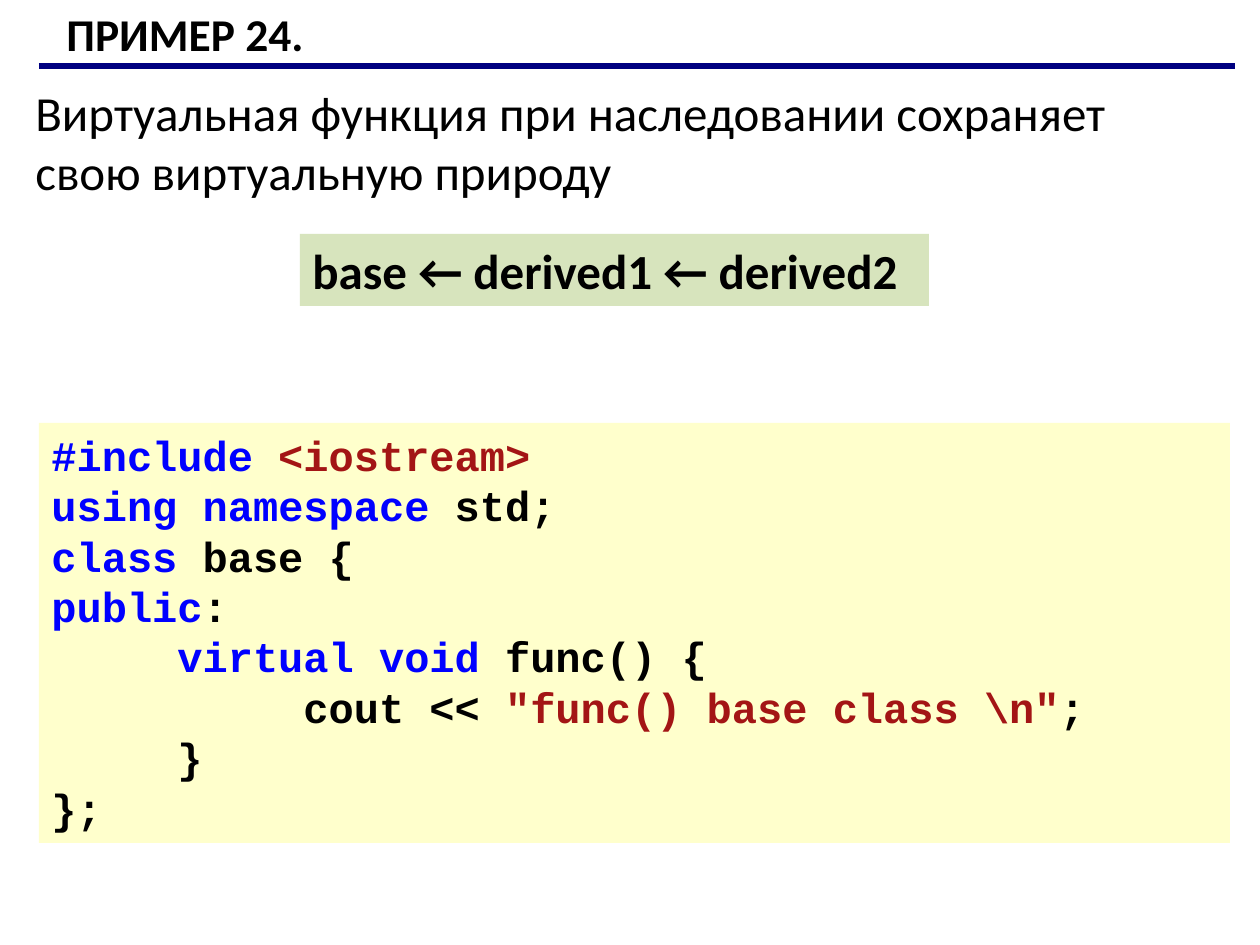
from lxml import etree
from pptx import Presentation
from pptx.dml.color import RGBColor
from pptx.enum.shapes import MSO_CONNECTOR, MSO_SHAPE
from pptx.enum.text import MSO_ANCHOR, PP_ALIGN
from pptx.oxml.ns import qn
from pptx.util import Emu, Pt

STRAIGHT = MSO_CONNECTOR.STRAIGHT
RECTANGLE = MSO_SHAPE.RECTANGLE
TOP = MSO_ANCHOR.TOP
LEFT = PP_ALIGN.LEFT

PX_PER_INCH = 126
COLORS = {
    "text": "000000",
    "rule": "000080",
    "keyword": "0000FF",
    "string": "A31515",
    "code_fill": "FFFFCC",
    "chain_fill": "D7E4BD",
}
CODE_LINES = [
    [("#include ", "keyword"), ("<iostream>", "string")],
    [("using namespace ", "keyword"), ("std;", "text")],
    [("class", "keyword"), (" base {", "text")],
    [("public", "keyword"), (":", "text")],
    [("\t", "text"), ("virtual void ", "keyword"), ("func() {", "text")],
    [("\t\tcout << ", "text"), ('"func() base class \\n"', "string"), (";", "text")],
    [("\t}", "text")],
    [("};", "text")],
]


def px(length):
    return Emu(round(length * 914400 / PX_PER_INCH))


def color(name):
    return RGBColor.from_string(COLORS[name])


def add_panel(page, box, fill=None):
    place = [px(length) for length in box]
    if fill is None:
        panel = page.shapes.add_textbox(*place)
    else:
        panel = page.shapes.add_shape(RECTANGLE, *place)
        panel.shadow.inherit = False
        panel.fill.solid()
        panel.fill.fore_color.rgb = color(fill)
        panel.line.fill.background()
    panel.text_frame.word_wrap = True
    panel.text_frame.vertical_anchor = TOP
    return panel.text_frame


def add_span(para, text, size, font="Calibri", bold=False, ink="text"):
    para.alignment = LEFT
    span = para.add_run()
    span.text = text
    span.font.name = font
    span.font.size = Pt(size)
    span.font.bold = bold
    span.font.color.rgb = color(ink)


def add_tab_stops(para, count):
    tab_list = etree.SubElement(para._p.get_or_add_pPr(), qn("a:tabLst"))
    for stop in range(1, count + 1):
        etree.SubElement(tab_list, qn("a:tab"), pos=str(px(stop * PX_PER_INCH)), algn="l")


def add_heading(page, box):
    left, top, width, height = box
    rule = page.shapes.add_connector(
        STRAIGHT, px(left), px(top + height), px(left + width), px(top + height))
    rule.line.color.rgb = color("rule")
    rule.line.width = Pt(3)
    etree.SubElement(rule._element.spPr, qn("a:effectLst"))
    frame = add_panel(page, (left + 15, top, 546, 68))
    add_span(frame.paragraphs[0], "ПРИМЕР 24.", 26, bold=True)


def add_statement(page, box):
    para = add_panel(page, box).paragraphs[0]
    add_span(para, "Виртуальная функция при наследовании сохраняет свою виртуальную природу", 28)


def add_chain(page, box):
    para = add_panel(page, box, "chain_fill").paragraphs[0]
    add_span(para, "base ← derived1 ← derived2", 28, bold=True)


def add_code(page, box):
    frame = add_panel(page, box, "code_fill")
    for index, line in enumerate(CODE_LINES):
        para = frame.add_paragraph() if index else frame.paragraphs[0]
        add_tab_stops(para, 2)
        for text, ink in line:
            add_span(para, text, 24, "Courier New", True, ink)


def main():
    deck = Presentation()
    deck.slide_width = px(1260)
    deck.slide_height = px(945)
    page = deck.slides.add_slide(deck.slide_layouts[6])
    add_heading(page, (39, 0, 1196, 66))
    add_code(page, (39, 423, 1191, 420))
    add_statement(page, (23, 76, 1183, 131))
    add_chain(page, (300, 234, 629, 72))
    deck.save("out.pptx")


if __name__ == "__main__":
    main()
